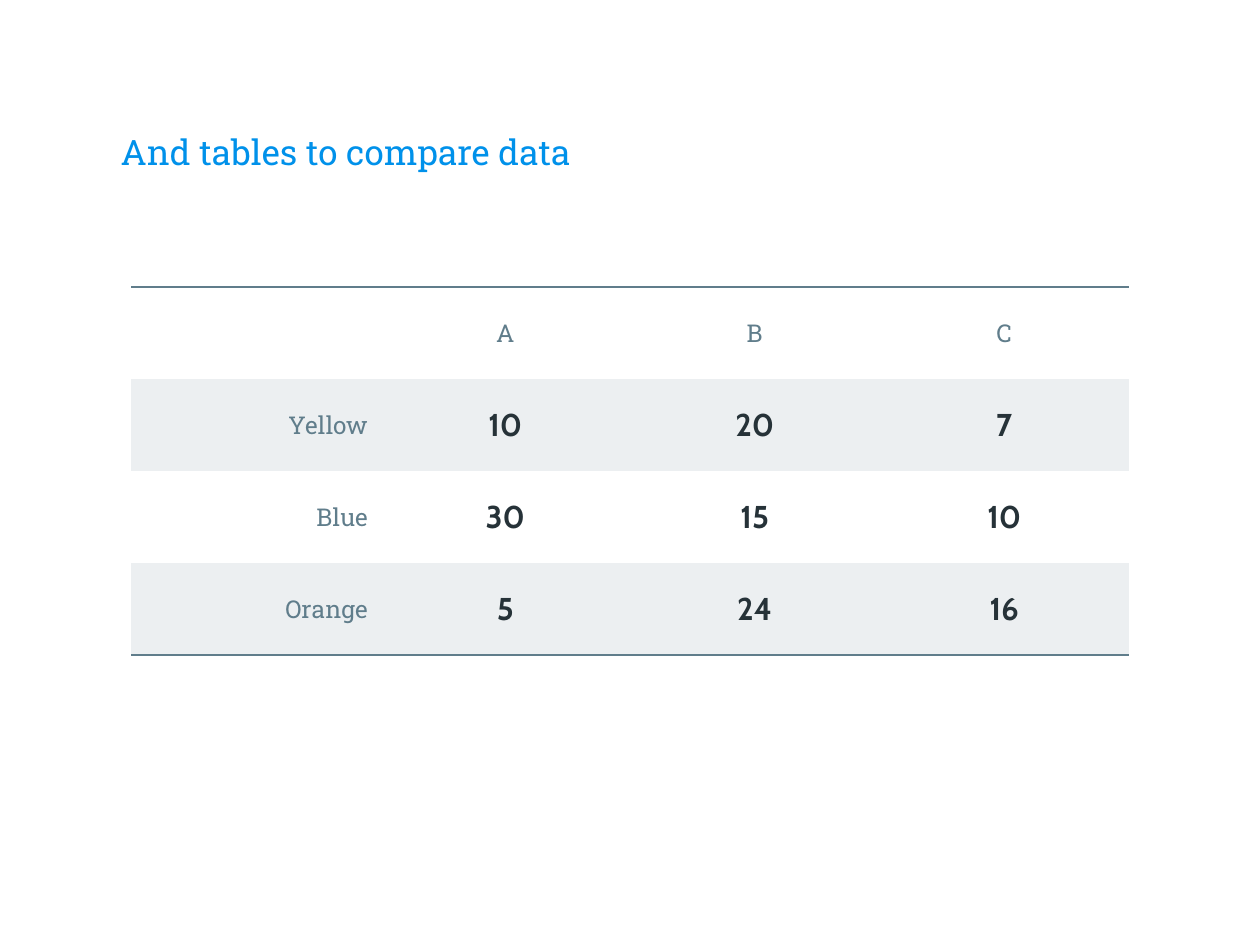
from dataclasses import dataclass

import pptx
import pptx.dml.color
import pptx.enum.text
import pptx.oxml.ns
import pptx.util
from lxml import etree

Inches = pptx.util.Inches
Align = pptx.enum.text.PP_ALIGN
Anchor = pptx.enum.text.MSO_ANCHOR


@dataclass(frozen=True)
class TextStyle:
    font: str
    size: int
    color: str
    bold: bool = False


@dataclass(frozen=True)
class Theme:
    title: TextStyle = TextStyle("Roboto Slab", 20, "0091EA")
    label: TextStyle = TextStyle("Roboto Slab", 14, "607D8B")
    value: TextStyle = TextStyle("Cabin", 18, "263238", True)
    band: str = "ECEFF1"
    rule: str = "607D8B"
    rule_width: float = 1.5
    margin: float = 0.1


@dataclass(frozen=True)
class DataRow:
    label: str
    values: tuple[str, ...]


THEME = Theme()
ROWS = (
    DataRow("", ("A", "B", "C")),
    DataRow("Yellow", ("10", "20", "7")),
    DataRow("Blue", ("30", "15", "10")),
    DataRow("Orange", ("5", "24", "16")),
)
COL_WIDTH, ROW_HEIGHT = 1.98, 0.73


def rgb(color: str) -> pptx.dml.color.RGBColor:
    return pptx.dml.color.RGBColor.from_string(color)


def set_text(tf, text: str, style: TextStyle, align) -> None:
    tf.text = text
    p = tf.paragraphs[0]
    p.alignment = align
    for r in p.runs:
        r.font.name = style.font
        r.font.size = pptx.util.Pt(style.size)
        r.font.bold = style.bold
        r.font.color.rgb = rgb(style.color)


def set_margins(box) -> None:
    box.margin_left = box.margin_right = Inches(THEME.margin)
    box.margin_top = box.margin_bottom = Inches(THEME.margin)


def set_borders(cell, ruled: str) -> None:
    """Rule the sides named in ruled (L, R, T, B) and clear the others."""
    qn = pptx.oxml.ns.qn
    tc_pr = cell._tc.get_or_add_tcPr()
    for i, side in enumerate("LRTB"):
        ln = etree.Element(qn(f"a:ln{side}"))
        if side in ruled:
            ln.set("w", str(pptx.util.Pt(THEME.rule_width)))
            fill = etree.SubElement(ln, qn("a:solidFill"))
            etree.SubElement(fill, qn("a:srgbClr")).set("val", THEME.rule)
        else:
            etree.SubElement(ln, qn("a:noFill"))
        tc_pr.insert(i, ln)


def add_title(s, text: str) -> None:
    sp = s.shapes.add_textbox(Inches(0.86), Inches(0.45), Inches(8.28), Inches(1.02))
    tf = sp.text_frame
    tf.word_wrap = True
    tf.vertical_anchor = Anchor.BOTTOM
    set_margins(tf)
    set_text(tf, text, THEME.title, Align.LEFT)


def add_data_table(s, rows: tuple[DataRow, ...]) -> None:
    n_rows, n_cols = len(rows), len(rows[0].values) + 1
    table = s.shapes.add_table(
        n_rows, n_cols, Inches(1.04), Inches(2.28),
        Inches(COL_WIDTH * n_cols), Inches(ROW_HEIGHT * n_rows),
    ).table
    table.first_row = table.horz_banding = False
    for col in table.columns:
        col.width = Inches(COL_WIDTH)

    for i, row in enumerate(rows):
        table.rows[i].height = Inches(ROW_HEIGHT)
        # Rules run above the first row and below the last
        ruled = "T" if i == 0 else "B" if i == n_rows - 1 else ""
        for j, text in enumerate((row.label, *row.values)):
            cell = table.cell(i, j)
            cell.vertical_anchor = Anchor.MIDDLE
            set_margins(cell)
            style = THEME.label if i == 0 or j == 0 else THEME.value
            set_text(cell.text_frame, text, style, Align.RIGHT if j == 0 else Align.CENTER)
            # Every second row is shaded
            if i % 2:
                cell.fill.solid()
                cell.fill.fore_color.rgb = rgb(THEME.band)
            else:
                cell.fill.background()
            set_borders(cell, ruled)


def main() -> None:
    prs = pptx.Presentation()
    prs.slide_width, prs.slide_height = Inches(10), Inches(7.5)
    s = prs.slides.add_slide(prs.slide_layouts[6])
    add_title(s, "And tables to compare data")
    add_data_table(s, ROWS)
    prs.save("out.pptx")


if __name__ == "__main__":
    main()
